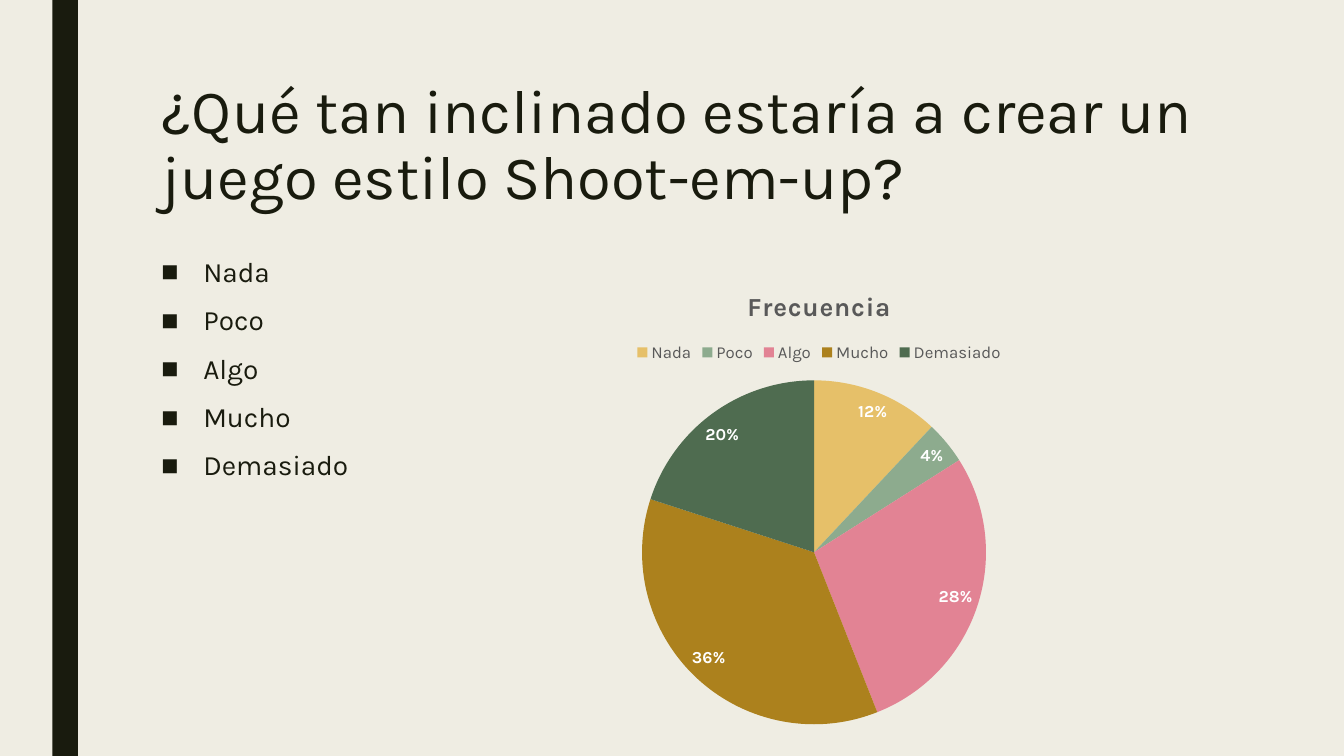
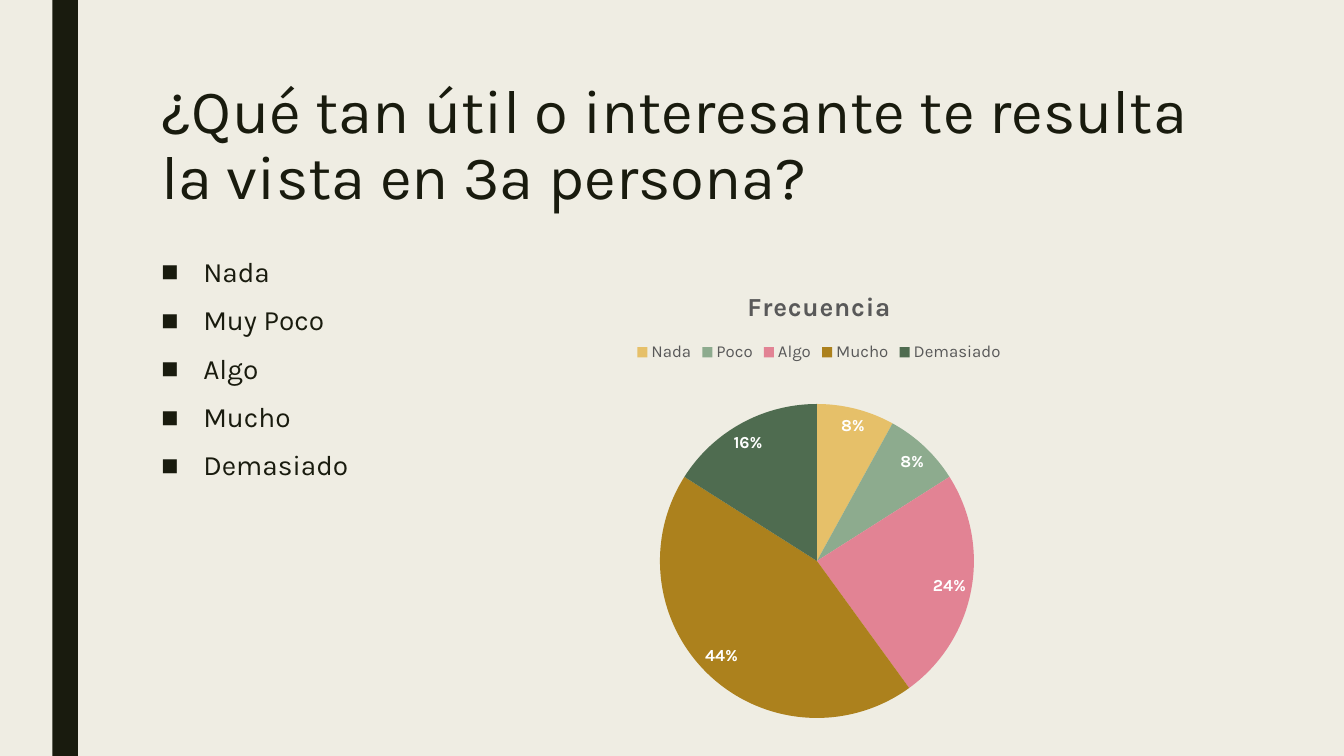
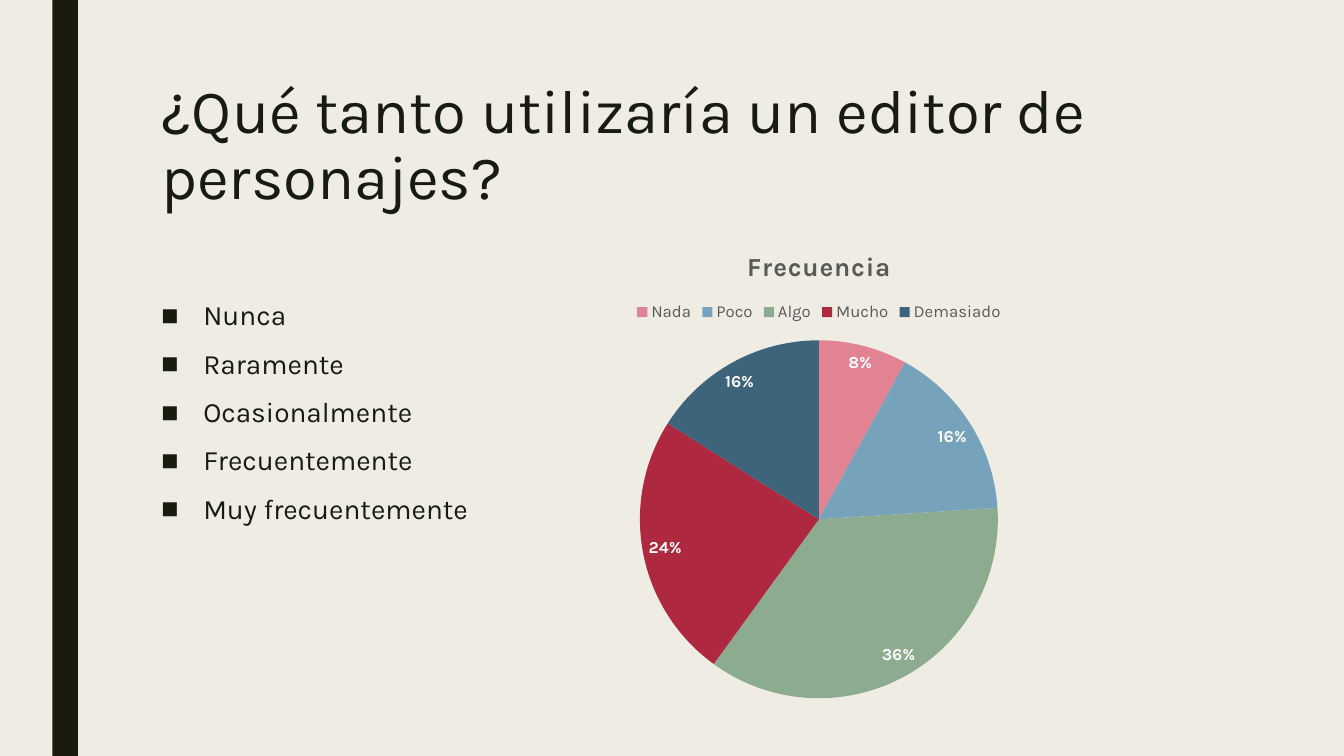
import dataclasses

import lxml.etree
import pptx
import pptx.chart.chart
import pptx.chart.data
import pptx.dml.color
import pptx.enum.chart
import pptx.enum.shapes
import pptx.enum.text
import pptx.oxml.ns
import pptx.shapes.base
import pptx.slide
import pptx.text.text
import pptx.util


@dataclasses.dataclass(frozen=True)
class Theme:
    font: str = "Karla"
    background: str = "EFEDE3"
    ink: str = "191B0E"
    chart_ink: str = "595959"
    label_ink: str = "FFFFFF"
    title_size: float = 44
    body_size: float = 20
    chart_title_size: float = 18.6
    chart_title_spacing: float = 0.5
    chart_text_size: float = 12
    bullet_indent: float = 30
    bullet_percent: int = 65
    warm_slices: tuple[str, ...] = ("E6C069", "8DAB8E", "E28394", "AC811D", "4F6C50")
    cool_slices: tuple[str, ...] = ("E28394", "77A2BB", "8DAB8E", "AE2940", "3D647A")


@dataclasses.dataclass(frozen=True)
class Box:
    left: float
    top: float
    width: float
    height: float


@dataclasses.dataclass(frozen=True)
class Question:
    title: str
    answers: tuple[str, ...]
    answers_box: Box
    percentages: tuple[int, ...]
    slice_colors: tuple[str, ...]
    chart_box: Box
    pie_box: Box


THEME = Theme()
SLIDE_WIDTH, SLIDE_HEIGHT = 960, 540
BAND_BOX = Box(37.5, 0, 18.2, SLIDE_HEIGHT)
TITLE_BOX = Box(108, 54, 756, 117)
UPPER_ANSWERS_BOX = Box(108, 180, 756, 282)
LOWER_ANSWERS_BOX = Box(108, 211, 756, 251)
CATEGORIES = ("Nada", "Poco", "Algo", "Mucho", "Demasiado")

QUESTIONS = (
    Question(
        "¿Qué tan inclinado estaría a crear un juego estilo Shoot-em-up?",
        CATEGORIES,
        UPPER_ANSWERS_BOX,
        (12, 4, 28, 36, 20),
        THEME.warm_slices,
        Box(366, 193, 438, 334),
        Box(458.6, 271.7, 245.7, 245.7),
    ),
    Question(
        "¿Qué tan útil o interesante te resulta la vista en 3ª persona?",
        ("Nada", "Muy Poco", "Algo", "Mucho", "Demasiado"),
        UPPER_ANSWERS_BOX,
        (8, 8, 24, 44, 16),
        THEME.warm_slices,
        Box(366, 193, 438, 330),
        Box(471.4, 288.6, 224.3, 224.3),
    ),
    Question(
        "¿Qué tanto utilizaría un editor de personajes?",
        ("Nunca", "Raramente", "Ocasionalmente", "Frecuentemente", "Muy frecuentemente"),
        LOWER_ANSWERS_BOX,
        (8, 16, 36, 24, 16),
        THEME.cool_slices,
        Box(255, 164, 660, 345),
        Box(457.1, 243.1, 255.7, 255.7),
    ),
)


def rgb(color: str) -> pptx.dml.color.RGBColor:
    return pptx.dml.color.RGBColor.from_string(color)


def lengths(box: Box) -> tuple[pptx.util.Length, ...]:
    return tuple(pptx.util.Pt(value) for value in dataclasses.astuple(box))


def style_font(font: pptx.text.text.Font, size: float, color: str, bold: bool = False) -> None:
    font.name = THEME.font
    font.size = pptx.util.Pt(size)
    font.bold = bold
    font.color.rgb = rgb(color)


def place_text(shape: pptx.shapes.base.BaseShape, box: Box, text: str) -> pptx.text.text.TextFrame:
    shape.left, shape.top, shape.width, shape.height = lengths(box)
    text_frame = shape.text_frame
    text_frame.text = text
    text_frame.word_wrap = True
    text_frame.auto_size = pptx.enum.text.MSO_AUTO_SIZE.NONE
    text_frame.vertical_anchor = pptx.enum.text.MSO_ANCHOR.TOP
    return text_frame


def add_bullet(paragraph: pptx.text.text._Paragraph) -> None:
    properties = paragraph._p.get_or_add_pPr()
    indent = pptx.util.Pt(THEME.bullet_indent)
    properties.set("marL", str(indent))
    properties.set("indent", str(-indent))
    qn = pptx.oxml.ns.qn
    lxml.etree.SubElement(properties, qn("a:buSzPct")).set("val", str(THEME.bullet_percent * 1000))
    lxml.etree.SubElement(properties, qn("a:buFont")).set("typeface", THEME.font)
    lxml.etree.SubElement(properties, qn("a:buChar")).set("char", "■")


def add_band(slide: pptx.slide.Slide) -> None:
    band = slide.shapes.add_shape(pptx.enum.shapes.MSO_SHAPE.RECTANGLE, *lengths(BAND_BOX))
    band.shadow.inherit = False
    band.fill.solid()
    band.fill.fore_color.rgb = rgb(THEME.ink)
    band.line.fill.background()


def add_title(slide: pptx.slide.Slide, question: Question) -> None:
    paragraph = place_text(slide.shapes.title, TITLE_BOX, question.title).paragraphs[0]
    paragraph.alignment = pptx.enum.text.PP_ALIGN.LEFT
    paragraph.line_spacing = 0.89
    style_font(paragraph.runs[0].font, THEME.title_size, THEME.ink)


def add_answers(slide: pptx.slide.Slide, question: Question) -> None:
    text_frame = place_text(slide.placeholders[1], question.answers_box, "\n".join(question.answers))
    for index, paragraph in enumerate(text_frame.paragraphs):
        add_bullet(paragraph)
        paragraph.line_spacing = 0.94
        paragraph.space_before = pptx.util.Pt(10 if index else 0)
        paragraph.space_after = pptx.util.Pt(2)
        style_font(paragraph.runs[0].font, THEME.body_size, THEME.ink)


def place_pie(chart: pptx.chart.chart.Chart, chart_box: Box, pie_box: Box) -> None:
    qn = pptx.oxml.ns.qn
    plot_area = chart._chartSpace.find(".//" + qn("c:plotArea"))
    for old_layout in plot_area.findall(qn("c:layout")):
        plot_area.remove(old_layout)
    layout = lxml.etree.SubElement(plot_area, qn("c:layout"))
    plot_area.insert(0, layout)
    manual = lxml.etree.SubElement(layout, qn("c:manualLayout"))
    settings = {
        "layoutTarget": "inner",
        "xMode": "edge",
        "yMode": "edge",
        "x": (pie_box.left - chart_box.left) / chart_box.width,
        "y": (pie_box.top - chart_box.top) / chart_box.height,
        "w": pie_box.width / chart_box.width,
        "h": pie_box.height / chart_box.height,
    }
    for name, value in settings.items():
        lxml.etree.SubElement(manual, qn(f"c:{name}")).set("val", str(value))


def add_pie(slide: pptx.slide.Slide, question: Question) -> None:
    data = pptx.chart.data.CategoryChartData()
    data.categories = CATEGORIES
    data.add_series("Frecuencia", question.percentages)
    chart = slide.shapes.add_chart(
        pptx.enum.chart.XL_CHART_TYPE.PIE, *lengths(question.chart_box), data
    ).chart
    style_font(chart.font, THEME.chart_text_size, THEME.chart_ink)

    chart.has_title = True
    title_frame = chart.chart_title.text_frame
    title_frame.text = "Frecuencia"
    title_run = title_frame.paragraphs[0].runs[0]
    style_font(title_run.font, THEME.chart_title_size, THEME.chart_ink, True)
    title_run._r.get_or_add_rPr().set("spc", str(round(THEME.chart_title_spacing * 100)))
    chart.chart_title.include_in_layout = False

    chart.has_legend = True
    chart.legend.position = pptx.enum.chart.XL_LEGEND_POSITION.TOP
    chart.legend.include_in_layout = False
    style_font(chart.legend.font, THEME.chart_text_size, THEME.chart_ink)

    plot = chart.plots[0]
    plot.vary_by_categories = True
    for index, color in enumerate(question.slice_colors):
        fill = plot.series[0].points[index].format.fill
        fill.solid()
        fill.fore_color.rgb = rgb(color)

    plot.has_data_labels = True
    labels = plot.data_labels
    labels.show_value = False
    labels.show_percentage = True
    labels.number_format = "0%"
    labels.number_format_is_linked = False
    labels.position = pptx.enum.chart.XL_LABEL_POSITION.BEST_FIT
    style_font(labels.font, THEME.chart_text_size, THEME.label_ink, True)
    place_pie(chart, question.chart_box, question.pie_box)


def main() -> None:
    presentation = pptx.Presentation()
    presentation.slide_width = pptx.util.Pt(SLIDE_WIDTH)
    presentation.slide_height = pptx.util.Pt(SLIDE_HEIGHT)
    background = presentation.slide_master.background.fill
    background.solid()
    background.fore_color.rgb = rgb(THEME.background)
    for question in QUESTIONS:
        slide = presentation.slides.add_slide(presentation.slide_layouts[1])
        add_band(slide)
        add_title(slide, question)
        add_answers(slide, question)
        add_pie(slide, question)
    presentation.save("out.pptx")


if __name__ == "__main__":
    main()
